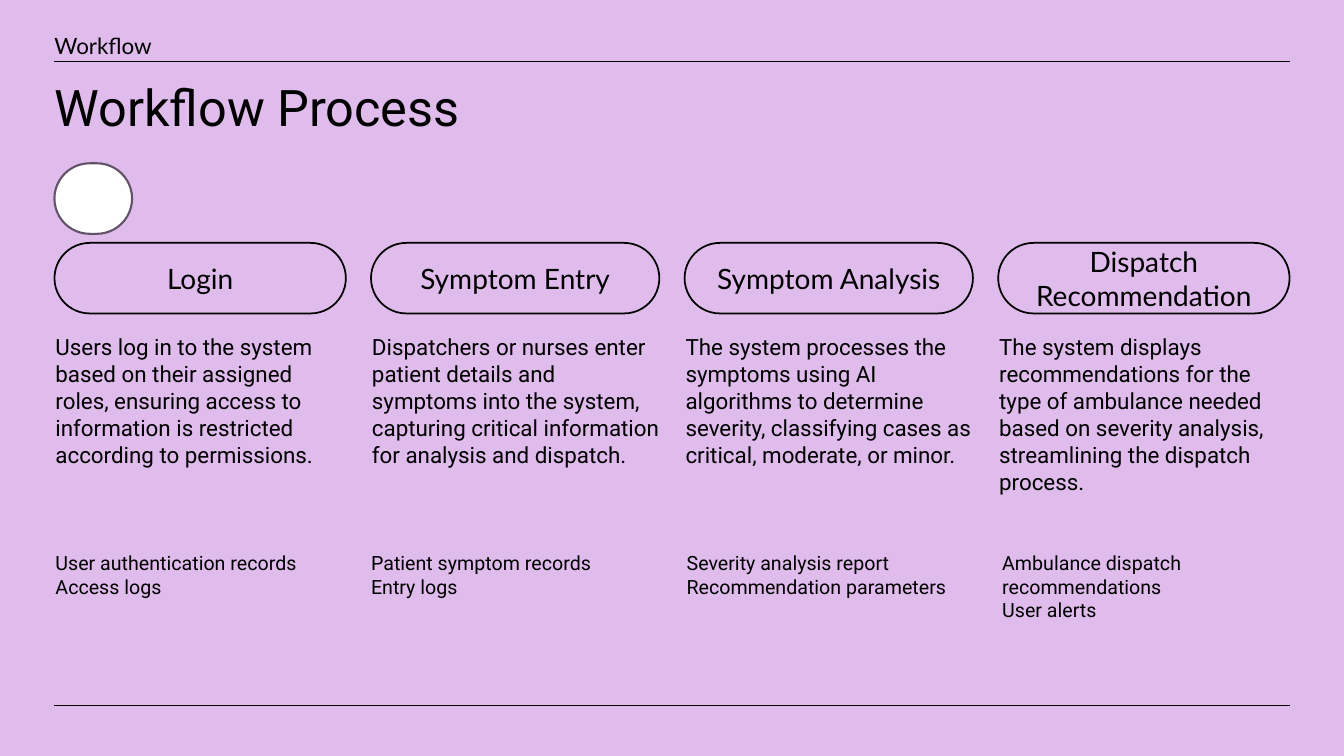
from copy import deepcopy

from lxml import etree
from pptx import Presentation
from pptx.dml.color import RGBColor
from pptx.enum.shapes import MSO_CONNECTOR, MSO_SHAPE
from pptx.enum.text import MSO_ANCHOR, PP_ALIGN
from pptx.oxml.ns import qn
from pptx.util import Inches, Pt

LILAC = RGBColor(0xE0, 0xBC, 0xED)
PLUM = RGBColor(0x62, 0x52, 0x68)
BLACK = RGBColor(0, 0, 0)
WHITE = RGBColor(255, 255, 255)
STRAIGHT = MSO_CONNECTOR.STRAIGHT
PILL = MSO_SHAPE.ROUNDED_RECTANGLE
TOP, MIDDLE = MSO_ANCHOR.TOP, MSO_ANCHOR.MIDDLE
LEFT, CENTER = PP_ALIGN.LEFT, PP_ALIGN.CENTER

MARGIN = 0.54
CONTENT_WIDTH = 12.25
NOTE_PITCH = 3.13
NOTE_WIDTH = 2.89

STEPS = [
    (0.54, 2.89, "Login",
     "Users log in to the system based on their assigned roles, ensuring "
     "access to information is restricted according to permissions.",
     "User authentication records\vAccess logs"),
    (3.68, 2.86, "Symptom Entry",
     "Dispatchers or nurses enter patient details and symptoms into the "
     "system, capturing critical information for analysis and dispatch.",
     "Patient symptom records\vEntry logs"),
    (6.79, 2.86, "Symptom Analysis",
     "The system processes the symptoms using AI algorithms to determine "
     "severity, classifying cases as critical, moderate, or minor.",
     "Severity analysis report\vRecommendation parameters"),
    (9.9, 2.89, "Dispatch Recommendation",
     "The system displays recommendations for the type of ambulance needed "
     "based on severity analysis, streamlining the dispatch process.",
     "Ambulance dispatch recommendations\vUser alerts"),
]


class WorkflowPage:
    heading_font = "Lato"
    body_font = "Roboto"

    def __init__(self, deck):
        self.page = deck.slides.add_slide(deck.slide_layouts[6])
        fill = self.page.background.fill
        fill.solid()
        fill.fore_color.rgb = LILAC

    def rule(self, top):
        line = self.page.shapes.add_connector(
            STRAIGHT, Inches(MARGIN), Inches(top),
            Inches(MARGIN + CONTENT_WIDTH), Inches(top))
        line.line.color.rgb = BLACK
        line.line.width = Pt(1)
        etree.SubElement(line._element.spPr, qn("a:effectLst"))

    def set_text(self, shape, text, size, font, anchor=TOP, align=LEFT,
                 insets=(0, 0.05, 0, 0.05), indent=0, before=0, spacing=1.0):
        frame = shape.text_frame
        frame.word_wrap = True
        frame.vertical_anchor = anchor
        (frame.margin_left, frame.margin_top,
         frame.margin_right, frame.margin_bottom) = map(Inches, insets)
        frame.text = text
        para = frame.paragraphs[0]
        para.alignment = align
        para.space_before = Pt(before)
        para.line_spacing = spacing
        if indent:
            properties = para._p.get_or_add_pPr()
            properties.set("marL", str(Inches(indent)))
            properties.set("indent", "0")
        for span in para.runs:
            span.font.size = Pt(size)
            span.font.name = font
            span.font.color.rgb = BLACK
        for line_break in para._p.findall(qn("a:br")):
            line_break.append(deepcopy(para.runs[0]._r.rPr))

    def text(self, left, top, width, height, text, size, font, **style):
        box = self.page.shapes.add_textbox(
            Inches(left), Inches(top), Inches(width), Inches(height))
        self.set_text(box, text, size, font, **style)

    def pill(self, left, top, width, height, line_color, line_width, fill=None):
        pill = self.page.shapes.add_shape(
            PILL, Inches(left), Inches(top), Inches(width), Inches(height))
        pill.adjustments[0] = 0.5
        pill.shadow.inherit = False
        if fill is None:
            pill.fill.background()
        else:
            pill.fill.solid()
            pill.fill.fore_color.rgb = fill
        pill.line.color.rgb = line_color
        pill.line.width = Pt(line_width)
        return pill

    def step(self, left, width, name, description):
        self.text(left, 3.26, width, 2.02, description, 16, self.body_font,
                  indent=0.01, before=12)
        pill = self.pill(left, 2.41, width, 0.7, BLACK, 1.25)
        self.set_text(pill, name, 20, self.heading_font, anchor=MIDDLE,
                      align=CENTER, insets=(0, 0, 0, 0), before=12)

    def note(self, left, text):
        self.text(left, 5.42, NOTE_WIDTH, 1.52, text, 14, self.body_font,
                  indent=0.01)


def main():
    deck = Presentation()
    deck.slide_width = Inches(13.33)
    deck.slide_height = Inches(7.5)
    page = WorkflowPage(deck)
    for top in (0.61, 7):
        page.rule(top)
    heading = {"anchor": MIDDLE, "insets": (0, 0.05, 0.1, 0.05)}
    page.text(MARGIN, 0.72, CONTENT_WIDTH, 0.81, "Workflow Process", 36,
              page.body_font, spacing=0.75, **heading)
    for index, (left, width, name, description, outputs) in enumerate(STEPS):
        page.step(left, width, name, description)
        page.note(MARGIN + index * NOTE_PITCH, outputs)
    page.text(MARGIN, 0.22, 4.21, 0.46, "Workflow", 16, page.heading_font,
              before=12, **heading)
    page.pill(MARGIN, 1.62, 0.77, 0.7, PLUM, 1.5, WHITE)
    deck.save("out.pptx")


if __name__ == "__main__":
    main()
